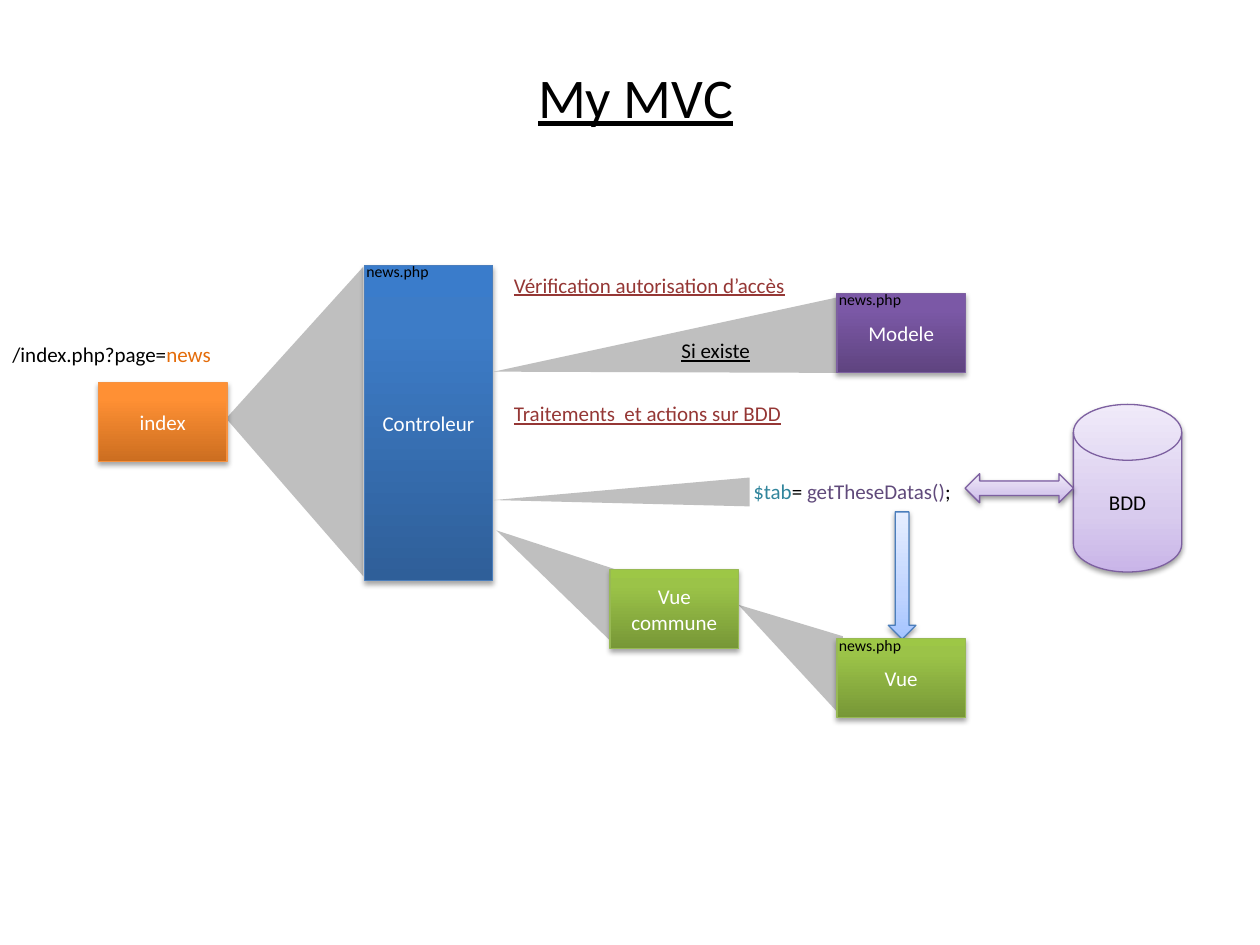
"""Build the My MVC architecture slide."""
from dataclasses import dataclass

from lxml.etree import SubElement
from pptx import Presentation
from pptx.dml.color import RGBColor
from pptx.enum.shapes import MSO_SHAPE
from pptx.enum.text import MSO_ANCHOR, MSO_AUTO_SIZE, PP_ALIGN
from pptx.oxml.ns import qn
from pptx.util import Pt


@dataclass(frozen=True)
class Style:
    stops: tuple[tuple[int, str], ...]
    line: str
    shadow_alpha: int = 35
    shadow_distance: float = 1.8


@dataclass(frozen=True)
class Theme:
    font: str = "Calibri"
    title: int = 32
    body: int = 12
    small: int = 9
    black: str = "000000"
    white: str = "FFFFFF"
    wedge: str = "BFBFBF"
    action: str = "953735"
    page: str = "E46C0A"
    variable: str = "31859C"
    call: str = "604A7B"
    orange: Style = Style(((0, "CC6E20"), (80, "FF9034"), (100, "FF9136")), "F69240")
    blue: Style = Style(((0, "2F5F99"), (80, "3D7CC7"), (100, "3A7CCB")), "4B7EBC")
    green: Style = Style(((0, "779737"), (80, "9BC348"), (100, "9DC746")), "98B955")
    purple: Style = Style(((0, "5F4480"), (80, "7B58A6"), (100, "7C57A8")), "7D60A0")
    sky: Style = Style(((0, "A4C4FF"), (35, "BFD4FF"), (100, "E6EEFF")), "4B7EBC", 38, 1.6)
    lilac: Style = Style(((0, "C9B5E8"), (35, "D8CBEE"), (100, "F0EAF9")), "7D60A0", 38, 1.6)


THEME = Theme()


@dataclass(frozen=True)
class Node:
    kind: MSO_SHAPE
    left: float
    top: float
    width: float
    height: float
    style: Style
    text: str = ""
    color: str = THEME.white


@dataclass(frozen=True)
class Label:
    left: float
    top: float
    width: float
    runs: tuple[tuple[str, str], ...]
    size: int = THEME.body
    height: float = 21.8
    underline: bool = False
    wrap: bool = True


BOX_W, BOX_H = 73.5, 45.2
MODEL_X = 478.2
WEDGES = (
    ((282.2, 212.4), (478.8, 169.9), (478.8, 213.1)),
    ((283.7, 303.1), (354.2, 326.2), (353.5, 370.8)),
    ((421.9, 345.6), (481.7, 363.6), (481.7, 410.4)),
    ((282.2, 285.8), (428.4, 272.9), (428.4, 289.4)),
)
NODES = (
    Node(MSO_SHAPE.DOWN_ARROW, 507.6, 292.5, 15.8, 72.7, THEME.sky),
    Node(MSO_SHAPE.RECTANGLE, 56.2, 218.5, BOX_W, BOX_H, THEME.orange, "index"),
    Node(MSO_SHAPE.RECTANGLE, 208.1, 151.7, BOX_W, 180, THEME.blue, "Controleur"),
    Node(MSO_SHAPE.RECTANGLE, 348.6, 325.5, BOX_W, BOX_H, THEME.green, "Vue commune"),
    Node(MSO_SHAPE.RECTANGLE, MODEL_X, 364.9, BOX_W, BOX_H, THEME.green, "Vue"),
    Node(MSO_SHAPE.FLOWCHART_MAGNETIC_DISK, 613.4, 231.1, 61.9, 95.8, THEME.lilac, "BDD", THEME.black),
    Node(MSO_SHAPE.LEFT_RIGHT_ARROW, 551.5, 270.7, 61.9, 16.6, THEME.lilac),
    Node(MSO_SHAPE.RECTANGLE, MODEL_X, 167.8, BOX_W, BOX_H, THEME.purple, "Modele"),
)
FILE_NAME = (("news.php", THEME.black),)
LABELS = (
    Label(423.4, 270, 129.6, (("$tab", THEME.variable), ("= ", THEME.black),
                              ("getTheseDatas()", THEME.call), (";", THEME.black))),
    Label(0, 191.5, 129.6, (("/index.php?page=", THEME.black), ("news", THEME.page))),
    *(Label(x, y, 50.4, FILE_NAME, THEME.small, 18.2)
      for x, y in ((472.3, 360), (202.3, 146.2), (472.3, 162))),
    Label(382.3, 189.4, 56.9, (("Si existe", THEME.black),), underline=True),
    Label(286.6, 151.9, 171.4, (("Vérification autorisation d’accès", THEME.action),),
          underline=True, wrap=False),
    Label(286.6, 225.4, 169.2, (("Traitements  et actions sur BDD", THEME.action),),
          underline=True, wrap=False),
)


def set_font(font, size: int, color: str | None = None, underline: bool = False) -> None:
    """Apply the theme typeface to a font."""
    font.name, font.size = THEME.font, Pt(size)
    if color:
        font.color.rgb = RGBColor.from_string(color)
    if underline:
        font.underline = True


def add_color(parent, color: str, alpha: int | None = None) -> None:
    """Append a colour, optionally transparent, to an XML element."""
    clr = SubElement(parent, qn("a:srgbClr"), val=color)
    if alpha is not None:
        SubElement(clr, qn("a:alpha"), val=str(alpha * 1000))


def apply_style(sp, style: Style) -> None:
    """Give a shape its gradient, outline and soft shadow."""
    sp.fill.gradient()
    sp.fill.gradient_angle = 90
    stops = sp._element.spPr.find(qn("a:gradFill")).find(qn("a:gsLst"))
    stops.clear()
    for pos, color in style.stops:
        add_color(SubElement(stops, qn("a:gs"), pos=str(pos * 1000)), color)
    sp.line.color.rgb = RGBColor.from_string(style.line)
    sp.line.width = Pt(0.75)
    sp.shadow.inherit = False
    effects = sp._element.spPr.find(qn("a:effectLst"))
    shadow = SubElement(effects, qn("a:outerShdw"), blurRad=str(Pt(3.1)),
                        dist=str(Pt(style.shadow_distance)), dir="5400000", rotWithShape="0")
    add_color(shadow, THEME.black, style.shadow_alpha)


def fill_wedge(sp) -> None:
    """Paint a shape as a flat grey wedge."""
    sp.shadow.inherit = False
    sp.fill.solid()
    sp.fill.fore_color.rgb = RGBColor.from_string(THEME.wedge)
    sp.line.fill.background()


def add_wedges(s) -> None:
    """Draw the grey wedges that link the boxes."""
    for start, *rest in WEDGES:
        fb = s.shapes.build_freeform(Pt(start[0]), Pt(start[1]))
        fb.add_line_segments([(Pt(x), Pt(y)) for x, y in rest])
        fill_wedge(fb.convert_to_shape())
    sp = s.shapes.add_shape(MSO_SHAPE.ISOSCELES_TRIANGLE, Pt(79.9), Pt(201.6), Pt(177.1), Pt(78.5))
    sp.adjustments[0] = 0.51
    sp.rotation = 270
    fill_wedge(sp)


def add_node(s, node: Node) -> None:
    """Draw a styled shape with its centred caption."""
    sp = s.shapes.add_shape(node.kind, Pt(node.left), Pt(node.top), Pt(node.width), Pt(node.height))
    apply_style(sp, node.style)
    if node.text:
        tf = sp.text_frame
        tf.vertical_anchor = MSO_ANCHOR.MIDDLE
        p = tf.paragraphs[0]
        p.text, p.alignment = node.text, PP_ALIGN.CENTER
        set_font(p.font, THEME.body, node.color)


def add_label(s, label: Label) -> None:
    """Write a text box with coloured runs."""
    sp = s.shapes.add_textbox(Pt(label.left), Pt(label.top), Pt(label.width), Pt(label.height))
    tf = sp.text_frame
    tf.word_wrap, tf.auto_size = label.wrap, MSO_AUTO_SIZE.SHAPE_TO_FIT_TEXT
    p = tf.paragraphs[0]
    set_font(p.font, label.size, underline=label.underline)
    for text, color in label.runs:
        r = p.add_run()
        r.text = text
        r.font.color.rgb = RGBColor.from_string(color)


def add_title(s) -> None:
    """Place and format the slide title."""
    sp = s.shapes.title
    sp.left, sp.top, sp.width, sp.height = Pt(292.3), Pt(31.7), Pt(141.8), Pt(46.1)
    tf = sp.text_frame
    tf.word_wrap, tf.auto_size = True, MSO_AUTO_SIZE.SHAPE_TO_FIT_TEXT
    p = tf.paragraphs[0]
    p.text, p.alignment = "My MVC", PP_ALIGN.CENTER
    set_font(p.font, THEME.title, THEME.black, underline=True)


def main() -> None:
    """Assemble and save the slide."""
    prs = Presentation()
    prs.slide_width, prs.slide_height = Pt(720), Pt(540)
    s = prs.slides.add_slide(prs.slide_layouts[5])
    add_title(s)
    add_wedges(s)
    for node in NODES:
        add_node(s, node)
    for label in LABELS:
        add_label(s, label)
    prs.save("out.pptx")


main()
